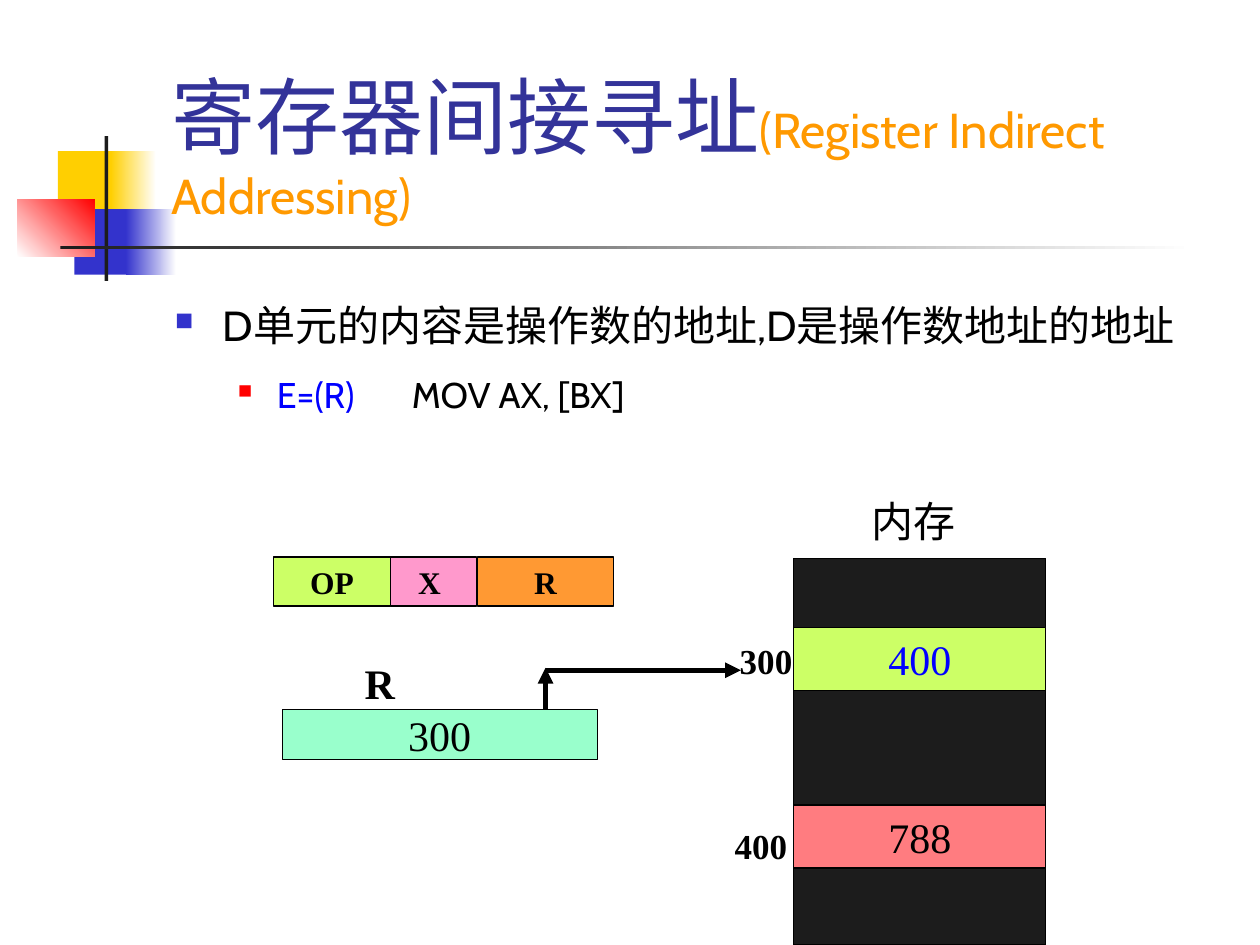
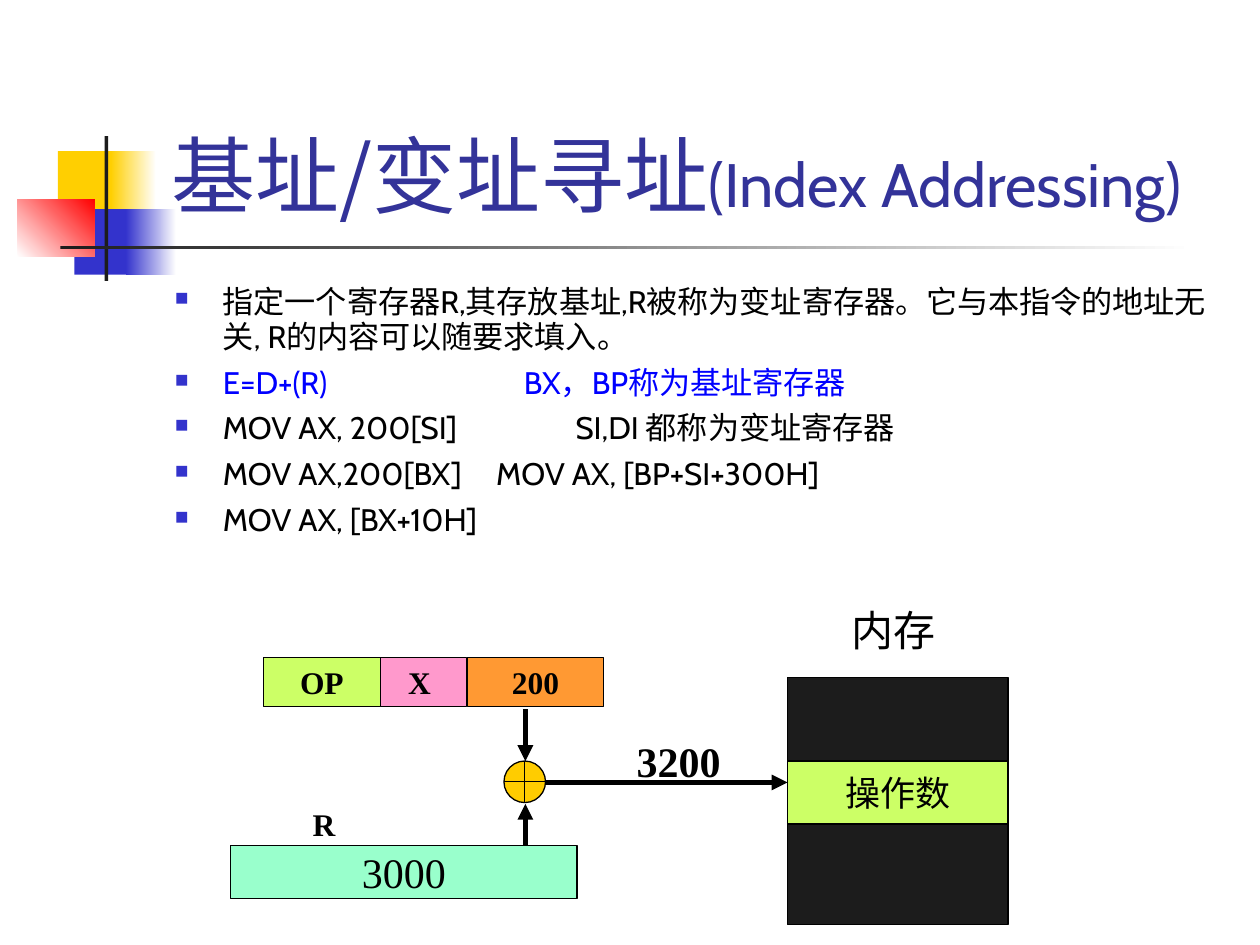
from pptx import Presentation
from pptx.dml.color import RGBColor
from pptx.enum.shapes import MSO_CONNECTOR, MSO_SHAPE
from pptx.enum.text import MSO_ANCHOR, MSO_AUTO_SIZE, PP_ALIGN
from pptx.oxml.ns import qn
from pptx.util import Inches, Pt
from lxml.etree import SubElement

HUES = {
    "black": "000000", "white": "FFFFFF", "dark": "1C1C1C", "gold": "FFCF01",
    "navy": "3333CC", "red": "FF0000", "title": "333399", "amber": "FF9900",
    "blue": "0000FF", "lime": "CCFF66", "pink": "FF99CC", "orange": "FF9933",
    "mint": "99FFCC", "coral": "FF7C80", "sun": "FFCC00",
}
RGB = {name: RGBColor.from_string(value) for name, value in HUES.items()}
CJK, SANS, SERIF = "Noto Sans CJK JP", "Cabin", "Times New Roman"


def write(para, text, font, size, hue, bold=False):
    run = para.add_run()
    run.text = text
    look = {"name": font, "size": Pt(size), "bold": bold}
    for key, value in look.items():
        setattr(run.font, key, value)
    run.font.color.rgb = RGB[hue]
    SubElement(run.font._element, qn("a:ea"), typeface=CJK)


def box(slide, area, fill=None, text="", size=24, hue="black", bold=False,
        kind=MSO_SHAPE.RECTANGLE):
    """Add an outlined shape, or a bare label when there is no fill."""
    area = [Inches(n) for n in area]
    if fill:
        item = slide.shapes.add_shape(kind, *area)
        item.shadow.inherit = False
        item.fill.solid()
        item.fill.fore_color.rgb = RGB[fill]
        item.line.color.rgb = RGB["black"]
        item.line.width = Pt(0.75)
    else:
        item = slide.shapes.add_textbox(*area)
    if text:
        frame = item.text_frame
        form = {"word_wrap": False, "vertical_anchor": MSO_ANCHOR.MIDDLE,
                "margin_left": 0, "margin_right": 0}
        for key, value in form.items():
            setattr(frame, key, value)
        frame.paragraphs[0].alignment = PP_ALIGN.CENTER
        write(frame.paragraphs[0], text, SERIF, size, hue, bold)
    return item


deck = Presentation()
deck.slide_width, deck.slide_height = Inches(10), Inches(7.5)
layout = deck.slide_layouts[5]

# Slide contents: each body line is (level, [(text, hue)], tab stop)
PAGES = [
    {
        "title": [("寄存器间接寻址", CJK, 48, "title"),
                  ("(Register Indirect Addressing)", SANS, 28, "amber")],
        "high": 1.19, "space": 1.3, "sizes": [24, 20.4], "before": 5.5,
        "body": [
            (0, [("D单元的内容是操作数的地址,D是操作数地址的地址", "black")], 0),
            (1, [("E=(R)", "blue"), ("\tMOV AX, [BX]", "black")], 1.88),
        ],
        "code": (2.17, 4.42, "R"),
        "cells": [
            ((2.24, 5.63, 2.5, 0.4), "mint", "300"),
            ((6.3, 4.43, 2, 0.55), "dark"),
            ((6.3, 4.98, 2, 0.5), "lime", "400", 24, "blue"),
            ((6.3, 5.48, 2, 1), "dark"),
            ((6.3, 6.39, 2, 0.5), "coral", "788"),
            ((6.3, 6.89, 2, 0.61), "dark"),
        ],
        "labels": [
            ((2.8, 5.17, 0.43, 0.5), "R", 24, True),
            ((5.75, 5.02, 0.66, 0.44), "300", 20, True),
            ((5.71, 6.49, 0.66, 0.44), "400", 20, True),
            ((6.82, 3.88, 0.86, 0.5), "内存", 24, False),
        ],
        "arrows": [(4.33, 5.32, 5.88, 5.32), (4.33, 5.63, 4.33, 5.3)],
    },
    {
        "title": [("基址/变址寻址", CJK, 48, "title"),
                  ("(Index Addressing)", SANS, 35, "title")],
        "high": 2.17, "space": 0.95, "sizes": [17.8], "before": 5.8,
        "body": [
            (0, [("指定一个寄存器R,其存放基址,R被称为变址寄存器。"
                  "它与本指令的地址无关, R的内容可以随要求填入。", "black")], 0),
            (0, [("E=D+(R)\tBX，BP称为基址寄存器", "blue")], 2.77),
            (0, [("MOV AX, 200[SI]\tSI,DI 都称为变址寄存器", "black")], 3.18),
            (0, [("MOV AX,200[BX]\tMOV AX, [BP+SI+300H]", "black")], 2.55),
            (0, [("MOV AX, [BX+10H]", "black")], 0),
        ],
        "code": (2.09, 5.22, "200"),
        "cells": [
            ((1.83, 6.71, 2.75, 0.42), "mint", "3000"),
            ((6.25, 5.38, 1.75, 0.66), "dark"),
            ((6.25, 6.04, 1.75, 0.5), "lime", "操作数", 20),
            ((6.25, 6.54, 1.75, 0.8), "dark"),
            ((4, 6.04, 0.33, 0.33), "sun", "", 24, "black", False,
             MSO_SHAPE.FLOWCHART_OR),
        ],
        "labels": [
            ((2.32, 6.34, 0.44, 0.4), " R", 18, True),
            ((4.83, 5.79, 1.03, 0.5), " 3200", 24, True),
            ((6.66, 4.75, 0.86, 0.5), "内存", 24, False),
        ],
        "arrows": [(4.33, 6.21, 6.25, 6.21), (4.17, 5.63, 4.17, 6.04),
                   (4.17, 6.71, 4.17, 6.38)],
    },
]
slides = [deck.slides.add_slide(layout) for page in PAGES]

# Corner blocks and rule, moved to the layout that both slides share
BANDS = [
    ((0.46, 1.2, 0.48, 0.52), "gold", None, 0),
    ((0.88, 1.2, 0.36, 0.52), "gold", "white", 0),
    ((0.59, 1.66, 0.46, 0.52), "navy", None, 0),
    ((1, 1.66, 0.4, 0.52), "navy", "white", 0),
    ((0.14, 1.58, 0.61, 0.46), "white", "red", 45),
    ((0.83, 1.08, 0.03, 1.15), "dark", None, 0),
    ((0.48, 1.95, 9, 0.03), "dark", "white", 0),
]
for mark, (area, start, end, angle) in enumerate(BANDS, 20):
    band = box(slides[0], area, start)
    band.line.fill.background()
    if end:
        band.fill.gradient()
        band.fill.gradient_angle = angle
        for stop, hue in zip(band.fill.gradient_stops, (start, end)):
            stop.color.rgb = RGB[hue]
    band.element.nvSpPr.cNvPr.set("id", str(mark))
    layout.shapes.element.append(band.element)

BULLETS = [(0.38, -0.38, "navy", 60), (0.81, -0.31, "red", 55)]
CODE = [("lime", "OP", 0, 0.93), ("pink", "X ", 0.93, 0.68),
        ("orange", None, 1.62, 1.08)]

for slide, page in zip(slides, PAGES):
    # Title
    title = slide.shapes.title
    place = {"left": 1.26, "top": 0.23, "width": 8.52, "height": 1.6}
    for key, value in place.items():
        setattr(title, key, Inches(value))
    frame = title.text_frame
    form = {"word_wrap": True, "auto_size": MSO_AUTO_SIZE.NONE,
            "vertical_anchor": MSO_ANCHOR.BOTTOM}
    for key, value in form.items():
        setattr(frame, key, value)
    frame.paragraphs[0].alignment = PP_ALIGN.LEFT
    for part in page["title"]:
        write(frame.paragraphs[0], *part)

    # Bulleted text
    body = box(slide, (1.29, 2.21, 8.5, page["high"])).text_frame
    body.word_wrap = True
    for row, (level, parts, tab) in enumerate(page["body"]):
        para = body.add_paragraph() if row else body.paragraphs[0]
        para.level = level
        para.line_spacing = page["space"]
        para.space_before = Pt(page["before"] if row else 0)
        left, hang, hue, scale = BULLETS[level]
        props = para._p.get_or_add_pPr()
        props.set("marL", str(Inches(left)))
        props.set("indent", str(Inches(hang)))
        tint = SubElement(props, qn("a:buClr"))
        SubElement(tint, qn("a:srgbClr"), val=HUES[hue])
        SubElement(props, qn("a:buSzPct"), val=str(scale * 1000))
        SubElement(props, qn("a:buChar"), char="■")
        if tab:
            tabs = SubElement(props, qn("a:tabLst"))
            SubElement(tabs, qn("a:tab"), pos=str(Inches(tab)), algn="l")
        for text, hue in parts:
            write(para, text, SANS, page["sizes"][level], hue)

    # Instruction word, registers and memory
    left, top, field = page["code"]
    for fill, text, shift, width in CODE:
        box(slide, (left + shift, top, width, 0.39), fill, text or field,
            18, bold=True)
    for cell in page["cells"]:
        box(slide, *cell)
    for area, text, size, bold in page["labels"]:
        box(slide, area, None, text, size, bold=bold)

    # Data paths
    for ends in page["arrows"]:
        arrow = slide.shapes.add_connector(
            MSO_CONNECTOR.STRAIGHT, *[Inches(n) for n in ends])
        arrow.line.color.rgb = RGB["black"]
        arrow.line.width = Pt(3)
        SubElement(arrow.line._get_or_add_ln(), qn("a:tailEnd"), type="triangle")
        SubElement(arrow.element.spPr, qn("a:effectLst"))

deck.save("out.pptx")
